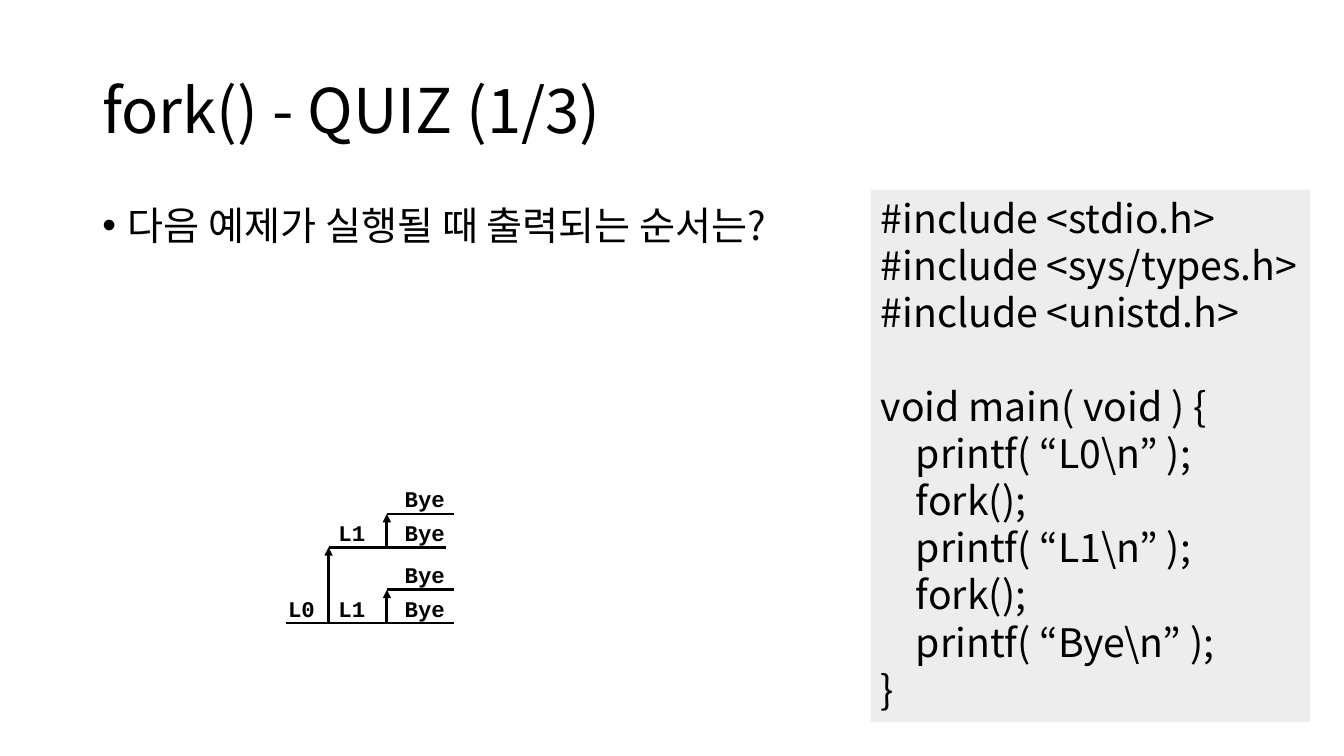
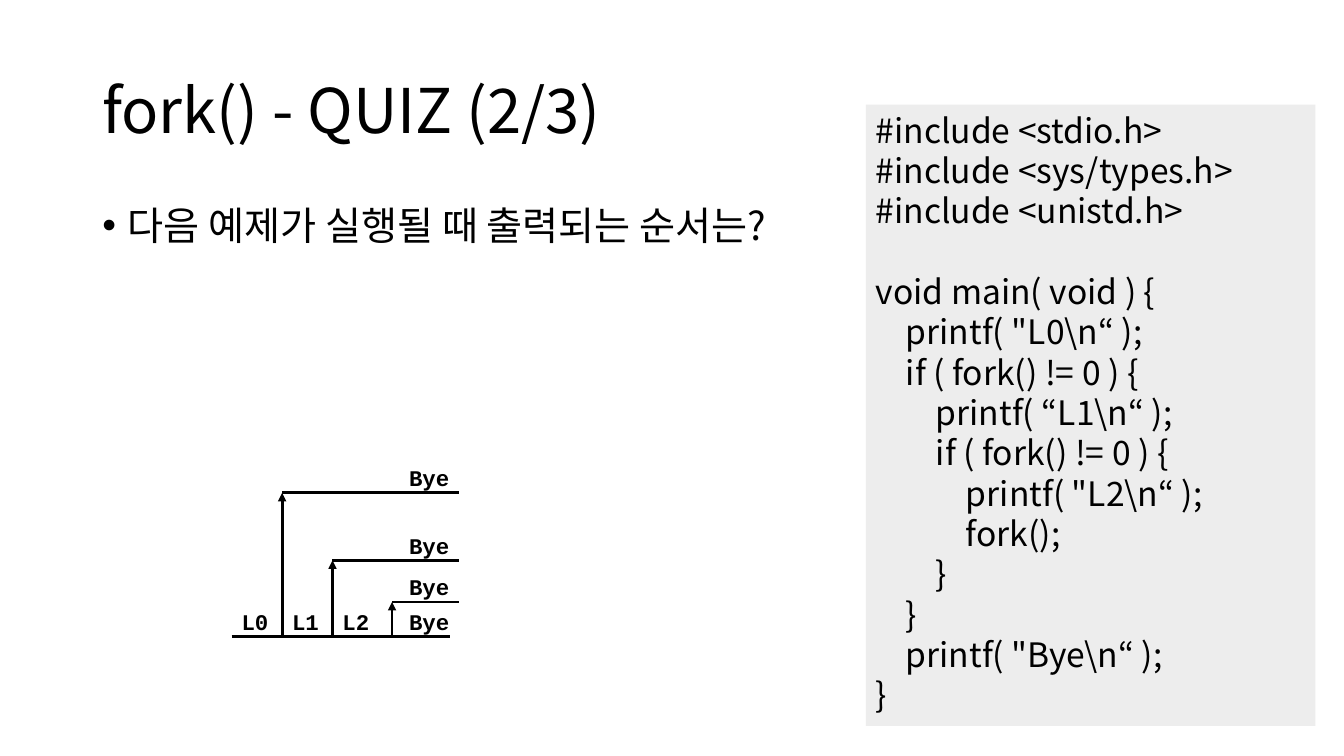
import pptx
import pptx.dml.color
import pptx.enum.shapes
import pptx.enum.text
import pptx.oxml
import pptx.oxml.ns
import pptx.util
from lxml import etree

Cm = pptx.util.Cm
Pt = pptx.util.Pt
ANCHOR = pptx.enum.text.MSO_ANCHOR
BODY_FONT = "Noto Sans CJK KR"
LABEL_FONT = "Courier New"
INK = "000000"
PANEL = "EDEDED"
LABEL_H = 0.93
LABEL_RISE = 0.84
BYE_INSET = 1.5
QUESTION = "다음 예제가 실행될 때 출력되는 순서는?"

CODE_1 = r"""#include <stdio.h>
#include <sys/types.h>
#include <unistd.h>

void main( void ) {
    printf( “L0\n” );
    fork();
    printf( “L1\n” );
    fork();
    printf( “Bye\n” );
}"""

CODE_2 = r"""#include <stdio.h>
#include <sys/types.h>
#include <unistd.h>

void main( void ) {
    printf( "L0\n“ );
    if ( fork() != 0 ) {
        printf( “L1\n“ );
        if ( fork() != 0 ) {
            printf( "L2\n“ );
            fork();
        }
    }
    printf( "Bye\n“ );
}"""


def color(value):
    """Return the colour for a hex string."""
    return pptx.dml.color.RGBColor.from_string(value)


def sub(parent, tag, **attrs):
    """Append a DrawingML element to a parent."""
    return etree.SubElement(parent, pptx.oxml.ns.qn(tag), attrs)


def write(sp, text, size, font=BODY_FONT, bold=False, spacing=None,
          anchor=ANCHOR.TOP, wrap=True, bullet=False):
    """Fill a shape with text, turning an empty line into space before the next."""
    tf = sp.text_frame
    tf.word_wrap = wrap
    tf.vertical_anchor = anchor
    p, gap = None, False
    for line in text.split("\n"):
        if not line:
            gap = True
            continue
        p = tf.paragraphs[0] if p is None else tf.add_paragraph()
        p.alignment = pptx.enum.text.PP_ALIGN.LEFT
        if spacing:
            p.line_spacing = spacing
        if gap:
            p.space_before = spacing
            gap = False
        if bullet:
            pPr = p._p.get_or_add_pPr()
            pPr.set("marL", str(Cm(0.64)))
            pPr.set("indent", str(-Cm(0.64)))
            sub(pPr, "a:buFont", typeface="Arial")
            sub(pPr, "a:buChar", char="•")
        r = p.add_run()
        r.text = line
        r.font.size = Pt(size)
        r.font.name = font
        r.font.bold = bold
        r.font.color.rgb = color(INK)
        sub(r._r.get_or_add_rPr(), "a:ea", typeface=font)


def text_box(slide, box, text, size, **fmt):
    """Add a text box at a box given in centimetres."""
    write(slide.shapes.add_textbox(*map(Cm, box)), text, size, **fmt)


def code_panel(slide, box, code, size):
    """Add a grey panel showing source code."""
    sp = slide.shapes.add_shape(pptx.enum.shapes.MSO_SHAPE.RECTANGLE, *map(Cm, box))
    sp.shadow.inherit = False
    sp.fill.solid()
    sp.fill.fore_color.rgb = color(PANEL)
    sp.line.fill.background()
    write(sp, code, size, spacing=Pt(size * 1.2), wrap=False)


def line(slide, x1, y1, x2, y2, arrow=False):
    """Draw a straight black line, with an arrowhead at its end if asked."""
    cx = slide.shapes.add_connector(
        pptx.enum.shapes.MSO_CONNECTOR.STRAIGHT, *map(Cm, (x1, y1, x2, y2)))
    cx.line.width = Pt(2)
    cx.line.color.rgb = color(INK)
    if arrow:
        sub(cx.line._get_or_add_ln(), "a:tailEnd", type="triangle")
    sub(cx._element.spPr, "a:effectLst")


def process_tree(slide, x, y, width, processes):
    """Draw processes as lines above a base point, each forked from its parent's line."""
    for start, end, rise, parent, labels in processes:
        top = y - rise
        line(slide, x + start, top, x + end, top)
        if parent is not None:
            line(slide, x + start, y - parent, x + start, top, arrow=True)
        for text, left in labels + [("Bye", width - BYE_INSET)]:
            box = (x + left, top - LABEL_RISE, 0.51 + 0.34 * len(text), LABEL_H)
            text_box(slide, box, text, 16, font=LABEL_FONT, bold=True, wrap=False)


def quiz_slide(prs, number, code, code_box, code_size, tree):
    """Add one quiz slide with title, question, code and process tree."""
    slide = prs.slides.add_slide(prs.slide_layouts[6])
    text_box(slide, (2.33, 1.01, 29.21, 3.68), f"fork() - QUIZ ({number}/3)", 44,
             spacing=0.9, anchor=ANCHOR.MIDDLE)
    text_box(slide, (2.33, 5.07, 29.21, 12.09), QUESTION, 28, spacing=0.9, bullet=True)
    code_panel(slide, code_box, code, code_size)
    process_tree(slide, *tree)


def main():
    """Build and save the presentation."""
    prs = pptx.Presentation()
    prs.slide_width, prs.slide_height = Cm(33.87), Cm(19.05)
    quiz_slide(prs, 1, CODE_1, (21.95, 4.78, 11.07, 13.41), 28, (7.21, 15.7, 4.24, [
        (0, 4.24, 0, None, [("L0", -0.2), ("L1", 1.07)]),
        (2.54, 4.24, 0.84, 0, []),
        (1.07, 4.02, 1.91, 0, [("L1", 1.07)]),
        (2.54, 4.24, 2.75, 1.91, []),
    ]))
    quiz_slide(prs, 2, CODE_2, (21.82, 2.64, 11.33, 15.65), 24, (5.84, 16.03, 5.72, [
        (0, 5.51, 0, None, [("L0", 0), ("L1", 1.27), ("L2", 2.54)]),
        (4.04, 5.72, 0.86, 0, []),
        (2.54, 5.72, 1.91, 0, []),
        (1.27, 5.72, 3.61, 0, []),
    ]))
    prs.save("out.pptx")


if __name__ == "__main__":
    main()
